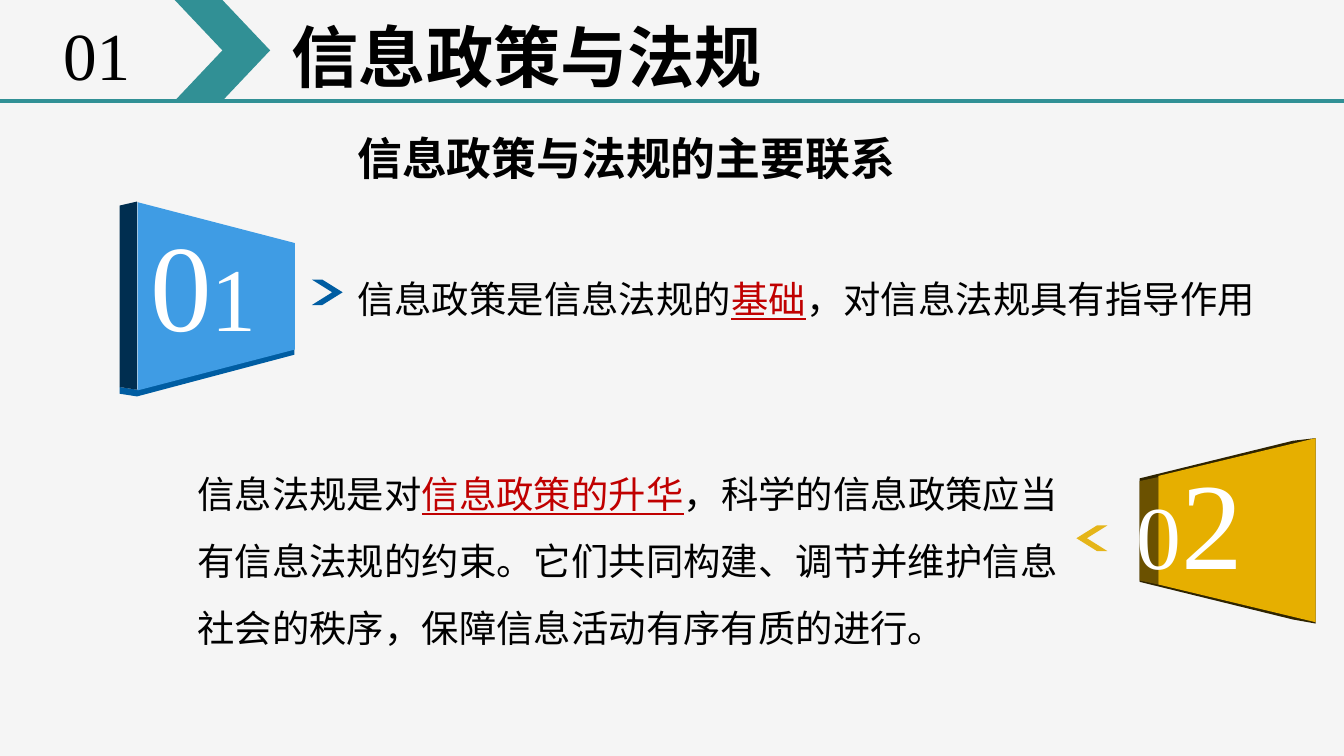
from pptx import Presentation
from pptx.dml.color import RGBColor
from pptx.enum.shapes import MSO_CONNECTOR, MSO_SHAPE
from pptx.enum.text import MSO_ANCHOR, MSO_AUTO_SIZE, PP_ALIGN
from pptx.oxml.ns import qn
from pptx.util import Inches, Pt
from lxml import etree

CHEVRON, TRAPEZOID = MSO_SHAPE.CHEVRON, MSO_SHAPE.TRAPEZOID
LINE = MSO_CONNECTOR.STRAIGHT
TOP = MSO_ANCHOR.TOP
LEFT, CENTER = PP_ALIGN.LEFT, PP_ALIGN.CENTER
FIXED = MSO_AUTO_SIZE.NONE

FONT = "Times New Roman"
HEX = {
    "back": "F5F5F5", "teal": "319095", "black": "000000", "white": "FFFFFF",
    "red": "C00000", "blue": "005DA2", "sky": "3F9CE4", "navy": "002E50",
    "gold": "E6AF00", "amber": "E5B519", "brown": "6B5100", "dark": "2E2300",
}
RGB = {name: RGBColor.from_string(code) for name, code in HEX.items()}

prs = Presentation()
prs.slide_width = Inches(10)
prs.slide_height = prs.slide_width * 9 // 16
slide = prs.slides.add_slide(prs.slide_layouts[5])
slide.background.fill.solid()
slide.background.fill.fore_color.rgb = RGB["back"]
shapes = slide.shapes


def paint(shape, color):
    shape.shadow.inherit = False
    shape.fill.solid()
    shape.fill.fore_color.rgb = RGB[color]
    shape.line.fill.background()


def write(box, runs, size, color="black", bold=False, align=LEFT, space=None,
          inset=(0.1, 0.05), wrap=True):
    """Each run is (text, options); options may hold size, color and line."""
    frame = box.text_frame
    frame.auto_size, frame.word_wrap = FIXED, wrap
    frame.vertical_anchor = TOP
    frame.margin_left = frame.margin_right = Inches(inset[0])
    frame.margin_top = frame.margin_bottom = Inches(inset[1])
    para = frame.paragraphs[0]
    para.alignment, para.line_spacing = align, space
    para.font.name, para.font.bold = FONT, bold
    para.font.size, para.font.color.rgb = Pt(size), RGB[color]
    for text, look in runs:
        run = para.add_run()
        run.text = text
        if "size" in look:
            run.font.size = Pt(look["size"])
        if "color" in look:
            run.font.color.rgb = RGB[look["color"]]
        if "line" in look:
            run.font.underline = look["line"]


# Header
rule = shapes.add_connector(LINE, 0, Inches(0.75), Inches(10), Inches(0.75))
rule.line.color.rgb = RGB["teal"]
rule.line.width = Pt(2.25)
etree.SubElement(rule._element.spPr, qn("a:effectLst"))

title = shapes.title
title.left, title.top = Inches(2.09), Inches(0.07)
title.width, title.height = Inches(5.24), Inches(0.69)
write(title, [("信息政策与法规", {})], 36, bold=True, inset=(0.08, 0.04))

arrow = shapes.add_shape(CHEVRON, Inches(1.3), 0, Inches(0.71), Inches(0.75))
paint(arrow, "teal")

# Sides of the solid blocks, from back to front
sides = [
    ("blue", [(0.89, 2.88), (1.02, 2.9), (2.19, 2.59), (2.19, 2.64),
              (1.02, 2.95), (0.89, 2.93)]),
    ("navy", [(0.89, 1.53), (1.02, 1.5), (1.02, 2.9), (0.89, 2.88)]),
    ("dark", [(8.48, 3.56), (9.62, 3.28), (9.79, 3.26), (9.79, 4.64),
              (9.62, 4.61), (8.48, 4.33)]),
    ("brown", [(8.48, 3.58), (8.62, 3.55), (8.62, 4.35), (8.48, 4.32)]),
]
for color, points in sides:
    dots = [(Inches(x), Inches(y)) for x, y in points]
    outline = shapes.build_freeform(*dots[0])
    outline.add_line_segments(dots[1:])
    paint(outline.convert_to_shape(), color)

# Front faces of the blocks, turned on their side
fronts = [(0.91, 1.62, 1.4, 0.26, 90, "sky"), (8.52, 3.36, 1.37, 0.24, 270, "gold")]
for x, y, width, slant, turn, color in fronts:
    face = shapes.add_shape(TRAPEZOID, Inches(x), Inches(y), Inches(width), Inches(1.17))
    face.adjustments[0] = slant
    face.rotation = turn
    paint(face, color)

# Small pointers
for x, y, color, flip in [(2.32, 2.08, "blue", False), (8.01, 3.91, "amber", True)]:
    mark = shapes.add_shape(CHEVRON, Inches(x), Inches(y), Inches(0.23), Inches(0.19))
    mark.adjustments[0] = 0.8
    paint(mark, color)
    if flip:
        mark._element.spPr.find(qn("a:xfrm")).set("flipH", "1")

# Text boxes: place, runs, size and format
key = {"color": "red", "line": True}
digits = {"color": "white", "align": CENTER}
texts = [
    ((0.39, 0.06, 0.67, 0.69), [("01", {})], 36,
     {"inset": (0.08, 0.04), "wrap": False}),
    ((2.56, 0.92, 5.28, 0.5), [("信息政策与法规的主要联系", {})], 24, {"bold": True}),
    ((0.83, 1.5, 1.37, 1.21), [("0", {"size": 66}), ("1", {"size": 48})], 66, digits),
    ((8.17, 3.27, 1.37, 1.21), [("0", {"size": 48}), ("2", {"size": 66})], 66, digits),
    ((2.56, 1.84, 7.27, 0.55),
     [("信息政策是信息法规的", {}), ("基础", key), ("，对信息法规具有指导作用", {})],
     20, {"space": 1.5}),
    ((1.37, 3.29, 6.75, 1.61),
     [("信息法规是对", {}), ("信息政策的升华", key),
      ("，科学的信息政策应当有信息法规的约束。它们共同构建、调节并维护信息"
       "社会的秩序，保障信息活动有序有质的进行。", {})],
     20, {"space": 1.5}),
]
for place, runs, size, style in texts:
    box = shapes.add_textbox(*[Inches(v) for v in place])
    write(box, runs, size, **style)

prs.save("out.pptx")
